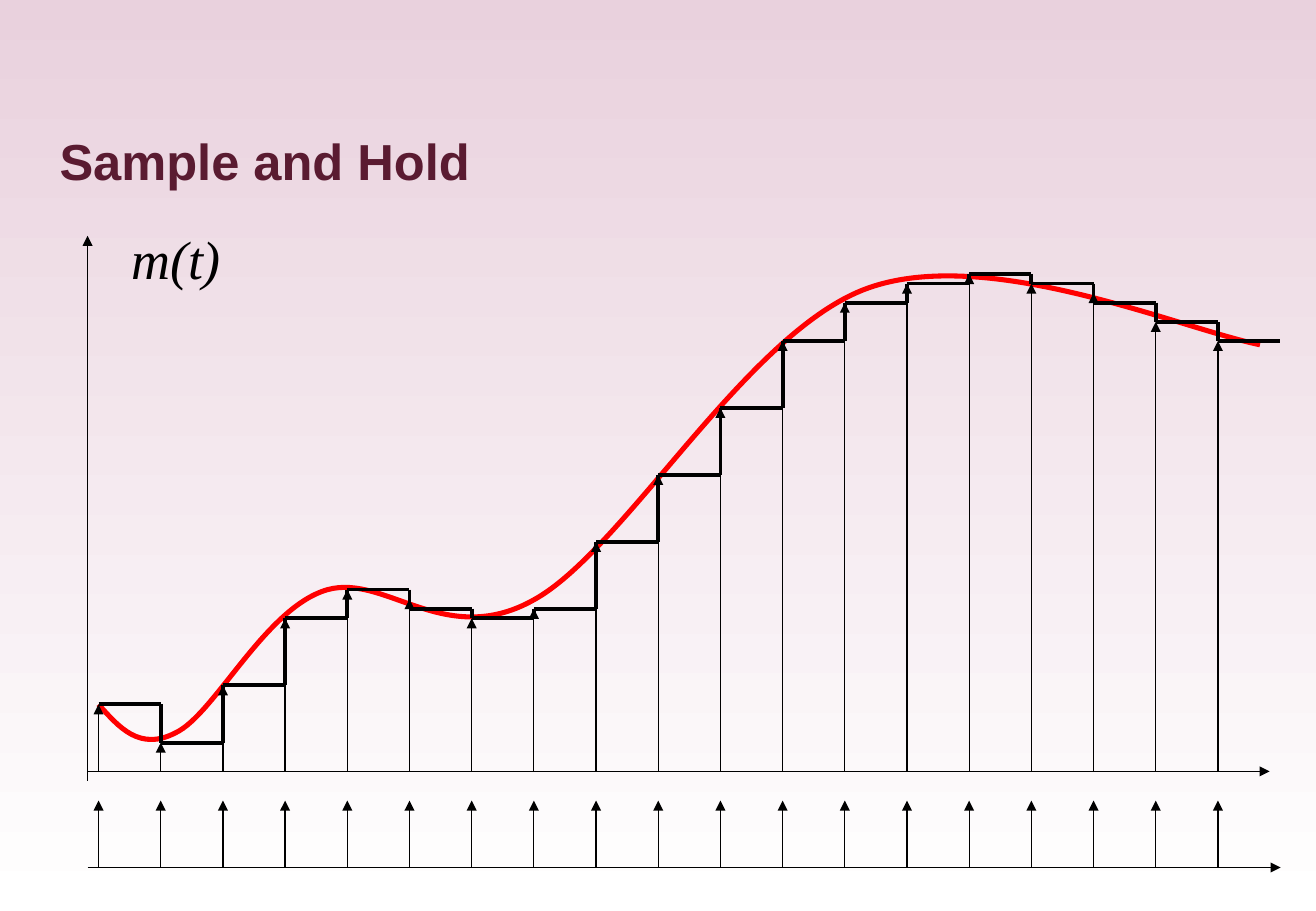
from lxml import etree
from pptx import Presentation
from pptx.dml.color import RGBColor
from pptx.enum.shapes import MSO_CONNECTOR
from pptx.enum.text import MSO_ANCHOR, PP_ALIGN
from pptx.oxml import parse_xml
from pptx.oxml.ns import nsdecls, qn
from pptx.util import Cm, Pt

STRAIGHT = MSO_CONNECTOR.STRAIGHT
TOP = MSO_ANCHOR.TOP
LEFT = PP_ALIGN.LEFT

BLACK, RED, PLUM = "000000", "FF0000", "5A1B31"

# All lengths are in centimetres.
ZERO_X = 1.83           # left end of both time axes
BASE_Y = 16.13          # time axis of the signal
PULSE_Y = 18.14         # time axis of the pulses
PULSE_H = 1.4
FIRST_X, PERIOD = 2.06, 1.3
UNIT = 0.2              # height of one signal level
LEVELS = [7, 3, 9, 16, 19, 17, 16, 17, 24, 31, 38, 45, 49, 51, 52, 51, 49, 47, 45]
TIPS = {5: 18, 16: 50}  # samples whose arrow ends above the held level

# Start point, then three points for each cubic curve
CURVE = [
    (2.06, 14.73),
    (2.49, 15.21), (2.92, 15.72), (3.68, 15.32),
    (4.47, 14.94), (5.49, 12.83), (6.73, 12.37),
    (7.98, 11.89), (9.25, 13.61), (11.15, 12.55),
    (13.06, 11.51), (15.62, 6.91), (18.16, 6.02),
    (20.68, 5.13), (24.69, 6.88), (26.34, 7.21),
]


def color(code):
    return RGBColor.from_string(code)


def time_x(i):
    return FIRST_X + i * PERIOD


def level_y(level):
    return BASE_Y - level * UNIT


def add_line(shapes, x1, y1, x2, y2, width=0.75, arrow=False):
    line = shapes.add_connector(STRAIGHT, Cm(x1), Cm(y1), Cm(x2), Cm(y2))
    line.line.color.rgb = color(BLACK)
    line.line.width = Pt(width)
    if arrow:
        line.line._get_or_add_ln().append(
            parse_xml(f'<a:tailEnd {nsdecls("a")} type="triangle"/>'))
    etree.SubElement(line._element.spPr, qn("a:effectLst"))


def write(shape, text, font, size, code, bold=False, italic=False):
    frame = shape.text_frame
    frame.word_wrap = True
    frame.vertical_anchor = TOP
    frame.margin_top = Cm(0.2)
    para = frame.paragraphs[0]
    para.alignment = LEFT
    run = para.add_run()
    run.text = text
    run.font.name = font
    run.font.size = Pt(size)
    run.font.color.rgb = color(code)
    run.font.bold = bold
    run.font.italic = italic


def paint(slide):
    fill = slide.background.fill
    fill.gradient()
    fill.gradient_angle = 270
    for stop, code in zip(fill.gradient_stops, ("E9D1DD", "FFFFFF")):
        stop.color.rgb = color(code)


def add_title(slide):
    title = slide.shapes.title
    title.left, title.top = Cm(0.99), Cm(2.51)
    title.width, title.height = Cm(25.55), Cm(3.61)
    write(title, "Sample and Hold", "Arial", 30, PLUM, bold=True)


def add_curve(shapes):
    points = [(Cm(x), Cm(y)) for x, y in CURVE]
    builder = shapes.build_freeform(*points[0])
    builder.add_line_segments(points[1:], close=False)
    curve = builder.convert_to_shape()
    curve.shadow.inherit = False
    curve.fill.background()
    curve.line.color.rgb = color(RED)
    curve.line.width = Pt(3)
    # Each three straight segments become one cubic curve
    track = curve._element.find(".//" + qn("a:path"))
    parts = track.findall(qn("a:lnTo"))
    for i in range(0, len(parts), 3):
        cubic = etree.SubElement(track, qn("a:cubicBezTo"))
        for part in parts[i:i + 3]:
            cubic.append(part[0])
            track.remove(part)


def add_axes(shapes):
    add_line(shapes, ZERO_X, PULSE_Y, 26.77, PULSE_Y, arrow=True)
    add_line(shapes, ZERO_X, BASE_Y, 26.54, BASE_Y, arrow=True)
    add_line(shapes, ZERO_X, 16.33, ZERO_X, 4.93, arrow=True)
    label = shapes.add_textbox(Cm(2.49), Cm(4.52), Cm(3.48), Cm(1.6))
    write(label, "m(t)", "Times New Roman", 32, BLACK, italic=True)


def add_pulses(shapes):
    for i in range(len(LEVELS)):
        add_line(shapes, time_x(i), PULSE_Y, time_x(i), PULSE_Y - PULSE_H, arrow=True)


def add_samples(shapes):
    for i, level in enumerate(LEVELS):
        tip = level_y(TIPS.get(i, level))
        add_line(shapes, time_x(i), BASE_Y, time_x(i), tip, arrow=True)


def add_steps(shapes):
    for i, level in enumerate(LEVELS):
        y, end = level_y(level), time_x(i + 1)
        add_line(shapes, time_x(i), y, end, y, width=2.25)
        if i + 1 < len(LEVELS):
            add_line(shapes, end, y, end, level_y(LEVELS[i + 1]), width=2.25)


def main():
    deck = Presentation()
    deck.slide_width, deck.slide_height = Cm(27.51), Cm(19.05)
    slide = deck.slides.add_slide(deck.slide_layouts[5])
    shapes = slide.shapes
    paint(slide)
    add_title(slide)
    add_curve(shapes)
    add_axes(shapes)
    add_pulses(shapes)
    add_samples(shapes.add_group_shape().shapes)
    add_steps(shapes.add_group_shape().shapes)
    deck.save("out.pptx")


if __name__ == "__main__":
    main()
